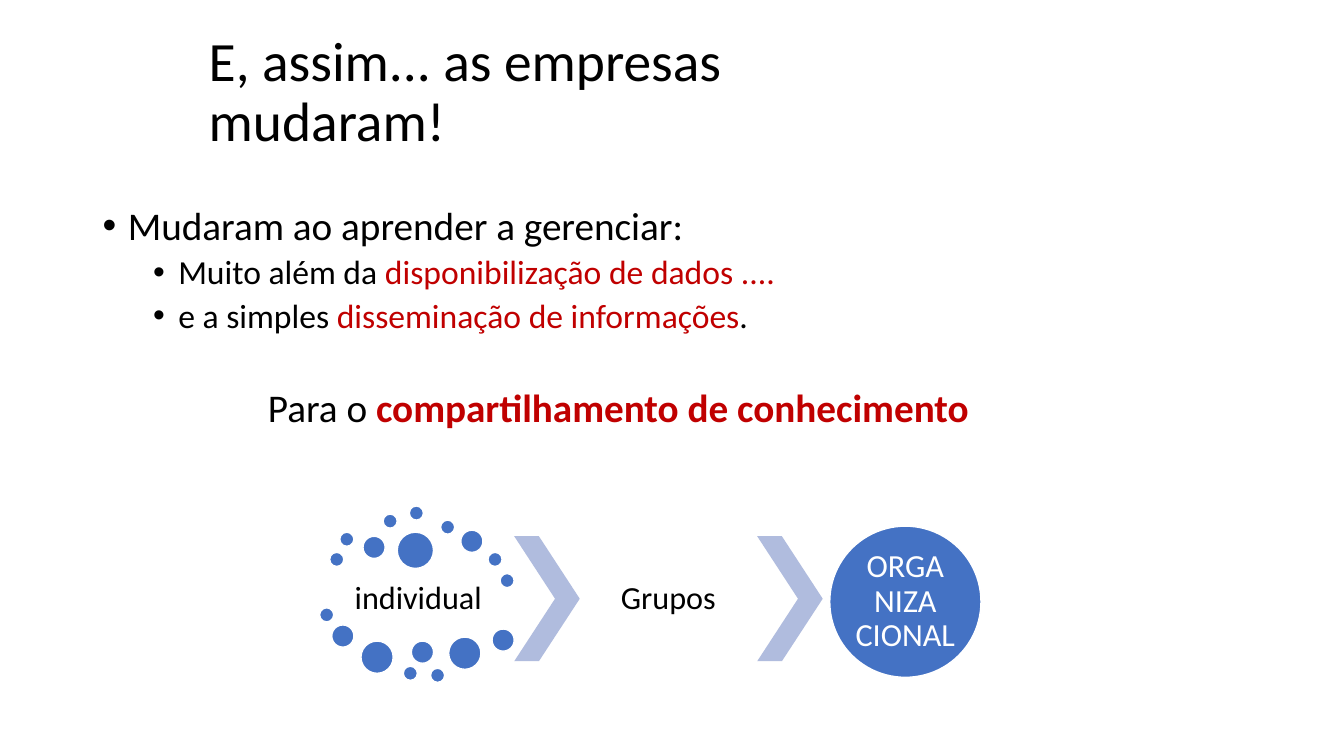
from lxml.etree import SubElement
from pptx import Presentation
from pptx.dml.color import RGBColor
from pptx.enum.shapes import MSO_SHAPE
from pptx.enum.text import MSO_ANCHOR, MSO_AUTO_SIZE, PP_ALIGN
from pptx.oxml.ns import qn
from pptx.util import Inches, Pt

BLACK, WHITE, RED, BLUE, LILAC = "000000", "FFFFFF", "C00000", "4472C4", "B0BCDE"


def add_runs(p, size, *parts):
    for text, color, bold in parts:
        r = p.add_run()
        r.text = text
        r.font.name = "Calibri"
        r.font.size = Pt(size)
        r.font.bold = bold
        r.font.color.rgb = RGBColor.from_string(color)


def add_figure(kind, left, top, width, height, color):
    sp = s.shapes.add_shape(kind, Inches(left), Inches(top), Inches(width), Inches(height))
    sp.shadow.inherit = False
    sp.fill.solid()
    sp.fill.fore_color.rgb = RGBColor.from_string(color)
    if kind == MSO_SHAPE.OVAL:
        sp.line.color.rgb = RGBColor.from_string(WHITE)
        sp.line.width = Pt(1)
    else:
        sp.line.fill.background()
        sp.adjustments[0] = 0.623


prs = Presentation()
prs.slide_width, prs.slide_height = Inches(13.33), Inches(7.5)
s = prs.slides.add_slide(prs.slide_layouts[5])

title = s.shapes.title
title.left, title.top, title.width, title.height = Inches(1.97), Inches(0.3), Inches(6.26), Inches(1.25)
tf = title.text_frame
tf.word_wrap = True
tf.auto_size = MSO_AUTO_SIZE.NONE
tf.vertical_anchor = MSO_ANCHOR.MIDDLE
p = tf.paragraphs[0]
p.alignment = PP_ALIGN.LEFT
p.line_spacing = 0.9
add_runs(p, 39.6, ("E, assim... as empresas mudaram!", BLACK, False))

bullets = [
    (0, 28, [("Mudaram ao aprender a gerenciar:", BLACK, False)]),
    (1, 24, [("Muito além da ", BLACK, False), ("disponibilização de dados ....", RED, False)]),
    (1, 24, [("e a simples ", BLACK, False), ("disseminação de informações", RED, False),
             (".", BLACK, False)]),
]
tf = s.shapes.add_textbox(Inches(0.92), Inches(2), Inches(11.5), Inches(4.76)).text_frame
tf.word_wrap = True
for i, (level, size, parts) in enumerate(bullets):
    p = tf.add_paragraph() if i else tf.paragraphs[0]
    p.level = level
    p.line_spacing = 0.9
    p.space_before = Pt(5 if i else 0)
    pPr = p._p.get_or_add_pPr()
    pPr.set("marL", str(Inches(0.25 + 0.5 * level)))
    pPr.set("indent", str(-Inches(0.25)))
    SubElement(pPr, qn("a:buFont")).set("typeface", "Arial")
    SubElement(pPr, qn("a:buChar")).set("char", "•")
    add_runs(p, size, *parts)

tf = s.shapes.add_textbox(Inches(2.56), Inches(3.75), Inches(7.26), Inches(0.57)).text_frame
tf.word_wrap = False
tf.auto_size = MSO_AUTO_SIZE.SHAPE_TO_FIT_TEXT
add_runs(tf.paragraphs[0], 28, ("Para o ", BLACK, False),
         ("compartilhamento de conhecimento", RED, True))

dots = {
    0.14: [(3.27, 5.48), (3.37, 5.28), (3.8, 5.1), (4.06, 5.02), (4.37, 5.16), (4.84, 5.48),
           (4.96, 5.69), (3.17, 6.03), (4, 6.61), (4.27, 6.63)],
    0.22: [(3.6, 5.32), (4.57, 5.26), (3.29, 6.2), (4.08, 6.36), (4.88, 6.24)],
    0.32: [(3.58, 6.36), (4.45, 6.32)],
    0.36: [(3.94, 5.28)],
    1.5: [(8.23, 5.22)],
}
for size, places in dots.items():
    for left, top in places:
        add_figure(MSO_SHAPE.OVAL, left, top, size, size, BLUE)

for left in (5.1, 7.51):
    add_figure(MSO_SHAPE.CHEVRON, left, 5.32, 0.65, 1.24, LILAC)

stages = [
    ("individual", 3.27, 5.65, 1.76, 0.58, 0.03, BLACK),
    ("Grupos", 5.75, 5.32, 1.76, 1.24, 0.03, BLACK),
    ("ORGA NIZA CIONAL", 8.45, 5.44, 1.06, 1.06, 0, WHITE),
]
for text, left, top, width, height, inset, color in stages:
    tf = s.shapes.add_textbox(Inches(left), Inches(top), Inches(width), Inches(height)).text_frame
    tf.word_wrap = True
    tf.vertical_anchor = MSO_ANCHOR.MIDDLE
    tf.margin_left = tf.margin_right = tf.margin_top = tf.margin_bottom = Inches(inset)
    p = tf.paragraphs[0]
    p.alignment = PP_ALIGN.CENTER
    p.line_spacing = 0.9
    add_runs(p, 23, (text, color, False))

prs.save("out.pptx")
